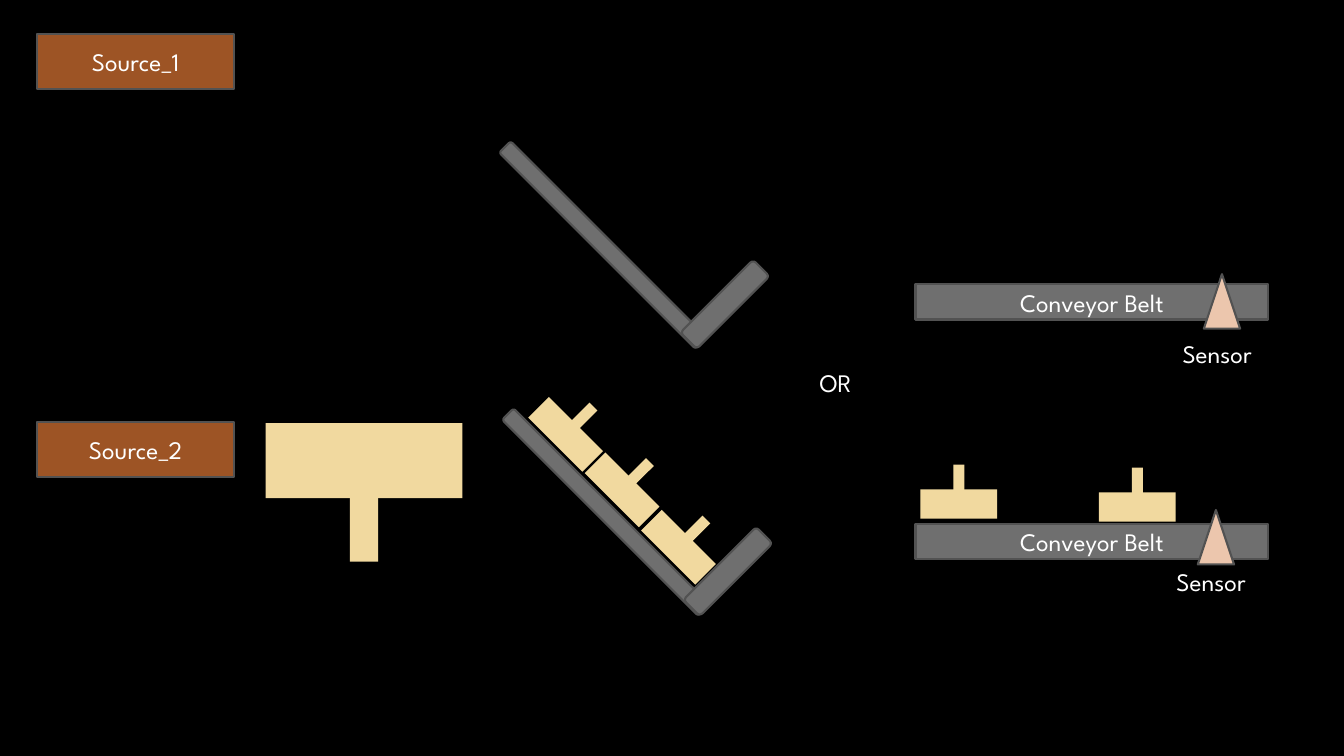
from math import cos, radians, sin

from pptx import Presentation
from pptx.dml.color import RGBColor
from pptx.enum.shapes import MSO_SHAPE
from pptx.enum.text import MSO_ANCHOR, MSO_AUTO_SIZE, PP_ALIGN
from pptx.util import Inches, Pt

RECTANGLE = MSO_SHAPE.RECTANGLE
ROUNDED = MSO_SHAPE.ROUNDED_RECTANGLE
TRIANGLE = MSO_SHAPE.ISOSCELES_TRIANGLE
CENTER, LEFT = PP_ALIGN.CENTER, PP_ALIGN.LEFT
MIDDLE, TOP = MSO_ANCHOR.MIDDLE, MSO_ANCHOR.TOP
FIT_SHAPE, NO_FIT = MSO_AUTO_SIZE.SHAPE_TO_FIT_TEXT, MSO_AUTO_SIZE.NONE

FONT = "League Spartan"
COLORS = {
    "background": "000000",
    "source": "9D5425",
    "steel": "6F6F6F",
    "part": "F1D99F",
    "sensor": "ECC6AD",
    "outline": "525252",
    "text": "FFFFFF",
}

# Content: positions in inches
SOURCES = [("Source_1", 0.34), ("Source_2", 4.19)]  # label, top
CHUTES = [(5.98, 2.43), (6.01, 5.08)]  # centre of the long rail
BELTS = [("Conveyor Belt", 2.82), ("Conveyor Belt", 5.2)]  # label, top
PARTS = [  # centre of the body, rotation in degrees, scale
    (3.61, 4.57, 180, 2.57),
    (6.73, 5.43, 45, 1),
    (6.17, 4.86, 45, 1),
    (5.61, 4.31, 45, 1),
    (9.51, 5.0, 0, 1),
    (11.28, 5.03, 0, 1),
]
SENSORS = [(11.94, 2.72), (11.88, 5.06)]  # left, top
LABELS = [  # text, left, top, width
    ("OR", 8.03, 3.59, 0.57),
    ("Sensor", 11.63, 3.31, 0.99),
    ("Sensor", 11.57, 5.57, 0.99),
]

# Sizes: width, height
SOURCE_SIZE = (1.95, 0.54)
RAIL_SIZE = (0.16, 2.75)
STOP_SIZE = (0.23, 1.02)
STOP_OFFSET = (1.21, 0.59)
BELT_SIZE = (3.5, 0.35)
BODY_SIZE = (0.76, 0.29)
STEM_SIZE = (0.11, 0.25)
STEM_DISTANCE = 0.265
SENSOR_SIZE = (0.36, 0.54)
LABEL_HEIGHT = 0.4


def write_text(shape, text, align=LEFT, anchor=TOP, wrap=True, fit=NO_FIT):
    frame = shape.text_frame
    frame.word_wrap = wrap
    frame.auto_size = fit
    frame.vertical_anchor = anchor
    paragraph = frame.paragraphs[0]
    paragraph.alignment = align
    run = paragraph.add_run()
    run.text = text
    run.font.name = FONT
    run.font.size = Pt(18)
    run.font.color.rgb = RGBColor.from_string(COLORS["text"])


def add_block(slide, kind, left, top, size, color, rotation=0, outlined=True):
    width, height = size
    shape = slide.shapes.add_shape(
        kind, Inches(left), Inches(top), Inches(width), Inches(height))
    shape.shadow.inherit = False
    shape.rotation = rotation
    shape.fill.solid()
    shape.fill.fore_color.rgb = RGBColor.from_string(COLORS[color])
    if outlined:
        shape.line.color.rgb = RGBColor.from_string(COLORS["outline"])
        shape.line.width = Pt(1.5)
    else:
        shape.line.fill.background()
    return shape


def add_centered(slide, kind, x, y, size, color, rotation, outlined=True):
    width, height = size
    return add_block(slide, kind, x - width / 2, y - height / 2, size, color,
                     rotation, outlined)


def add_part(slide, x, y, rotation, scale):
    """A T-shaped part: a body with a stem on its upper side, then rotated."""
    angle = radians(rotation)
    stem_x = x + STEM_DISTANCE * scale * sin(angle)
    stem_y = y - STEM_DISTANCE * scale * cos(angle)
    pieces = [(x, y, BODY_SIZE), (stem_x, stem_y, STEM_SIZE)]
    for piece_x, piece_y, size in pieces:
        scaled = [length * scale for length in size]
        add_centered(slide, RECTANGLE, piece_x, piece_y, scaled, "part",
                     rotation, outlined=False)


def main():
    presentation = Presentation()
    presentation.slide_width = Inches(13.33)
    presentation.slide_height = Inches(7.5)
    slide = presentation.slides.add_slide(presentation.slide_layouts[6])
    slide.background.fill.solid()
    slide.background.fill.fore_color.rgb = RGBColor.from_string(
        COLORS["background"])

    # Sources
    for text, top in SOURCES:
        source = add_block(slide, RECTANGLE, 0.37, top, SOURCE_SIZE, "source")
        write_text(source, text, align=CENTER, anchor=MIDDLE)

    # Chutes: a sloping rail with a stop at its foot
    for x, y in CHUTES:
        add_centered(slide, ROUNDED, x, y, RAIL_SIZE, "steel", 315)
        add_centered(slide, ROUNDED, x + STOP_OFFSET[0], y + STOP_OFFSET[1],
                     STOP_SIZE, "steel", 45)

    # Conveyor belts
    for text, top in BELTS:
        belt = add_block(slide, RECTANGLE, 9.08, top, BELT_SIZE, "steel")
        write_text(belt, text, align=CENTER, anchor=MIDDLE)

    # Parts
    for part in PARTS:
        add_part(slide, *part)

    # Sensors and free labels
    for left, top in SENSORS:
        add_block(slide, TRIANGLE, left, top, SENSOR_SIZE, "sensor")
    for text, left, top, width in LABELS:
        label = slide.shapes.add_textbox(
            Inches(left), Inches(top), Inches(width), Inches(LABEL_HEIGHT))
        write_text(label, text, wrap=False, fit=FIT_SHAPE)

    presentation.save("out.pptx")


if __name__ == "__main__":
    main()
